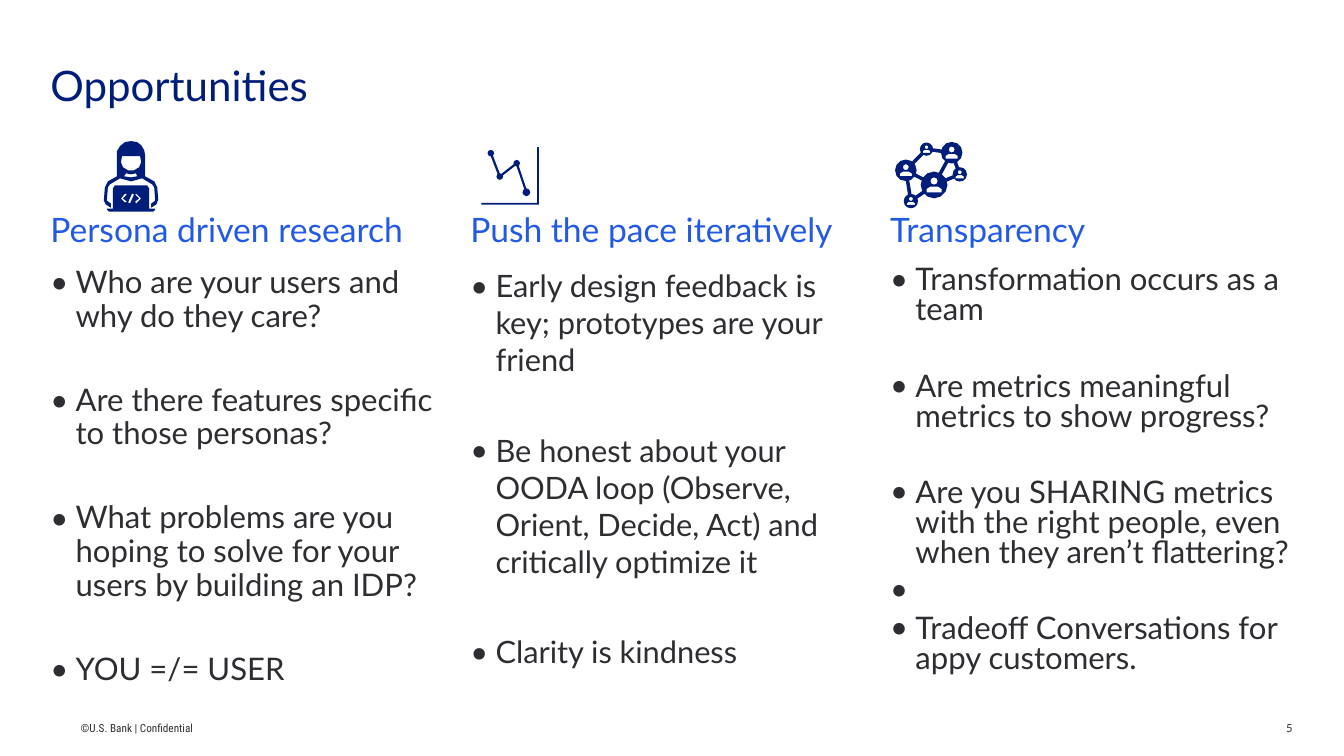
import math

import lxml.etree
import pptx
import pptx.dml.color
import pptx.enum.text
import pptx.oxml.ns
import pptx.util

WIDTH, HEIGHT = 13.33, 7.5
MARGIN, COLUMN_WIDTH = 0.5, 4
COLUMN_PITCH = (WIDTH - 2 * MARGIN - COLUMN_WIDTH) / 2
COLUMN_TOP, COLUMN_HEIGHT = 1.4, 5.6
COLORS = {"navy": "001E79", "blue": "235AE4", "text": "2E2E32"}
ANCHORS = pptx.enum.text.MSO_ANCHOR
ALIGNMENTS = pptx.enum.text.PP_ALIGN

FIGURE = [
    [(13, 35), (4, 40), (1, 46), (0, 59), (2, 63), (7, 66), (7, 62), (3, 59), (4, 46),
     (6, 43), (16, 37), (27, 40), (38, 37), (48, 43), (50, 46), (51, 59), (47, 62),
     (47, 66), (52, 63), (54, 58), (53, 46), (50, 40), (41, 35), (41, 14), (40, 9),
     (37, 4), (33, 1), (27, 0), (21, 1), (16, 5), (13, 10)],
    [(17, 21), (18, 15), (36, 15), (37, 21), (35, 26), (30, 29), (24, 29), (19, 26)],
    [(20, 35), (22, 32), (27, 33), (32, 32), (33, 35), (27, 36)],
]
LAPTOP = [
    [(45, 47), (43, 44), (11, 44), (9, 47), (9, 67), (3, 67), (3, 68), (5, 70),
     (49, 70), (51, 68), (51, 67), (45, 67)],
    [(23, 60), (21, 61), (17, 57), (21, 52), (23, 53), (19, 57)],
    [(26, 62), (24, 61), (28, 52), (30, 53)],
    [(32, 62), (31, 60), (35, 57), (31, 53), (32, 52), (37, 57)],
]
AXES = [[(55.3, 0), (55.3, 55.3), (0, 55.3), (0, 57), (57, 57), (57, 0)]]
CHART_POINTS = [(9.3, 6, 3.2), (18.2, 29.2, 3.2), (35, 16, 3.2), (44.6, 44.8, 3.8)]
CHART_LINKS = [(0, 1), (1, 2), (2, 3)]
PEOPLE = [(10.5, 28, 10.5), (31, 7, 6.5), (56, 10.5, 10.5), (64, 32, 7),
          (38.5, 42.5, 13), (15.5, 58.5, 7)]
PEOPLE_LINKS = [(0, 1), (1, 2), (2, 3), (2, 4), (0, 4), (0, 5), (5, 4), (4, 3)]
SHOULDERS = [(-0.57, 0.56), (-0.57, 0.3), (-0.3, 0.12), (0.3, 0.12), (0.57, 0.3), (0.57, 0.56)]


def color(name):
    return pptx.dml.color.RGBColor.from_string(COLORS[name])


def inches(*values):
    return [pptx.util.Inches(value) for value in values]


def add_bullet(paragraph, font):
    properties = paragraph._p.get_or_add_pPr()
    properties.set("marL", str(pptx.util.Inches(0.25)))
    properties.set("indent", str(pptx.util.Inches(-0.25)))
    for tag, name, value in (("a:buFont", "typeface", font), ("a:buChar", "char", "•")):
        lxml.etree.SubElement(properties, pptx.oxml.ns.qn(tag)).set(name, value)


def add_text(slide, box, items, size, fill, font="Lato", anchor=ANCHORS.TOP,
             align=ALIGNMENTS.LEFT, line_spacing=1.0, bullets=False):
    frame = slide.shapes.add_textbox(*inches(*box)).text_frame
    frame.word_wrap = True
    frame.vertical_anchor = anchor
    frame.margin_left = frame.margin_right = 0
    frame.margin_top = frame.margin_bottom = pptx.util.Inches(0.05)
    for index, (text, gap) in enumerate(items):
        paragraph = frame.add_paragraph() if index else frame.paragraphs[0]
        paragraph.alignment = align
        paragraph.line_spacing = line_spacing
        paragraph.space_after = pptx.util.Pt(gap)
        if bullets:
            add_bullet(paragraph, font)
        run = paragraph.add_run()
        run.text = text
        run.font.name = font
        run.font.size = pptx.util.Pt(size)
        run.font.color.rgb = color(fill)


def add_outline(slide, left, top, contours):
    scaled = [[(10 * x, 10 * y) for x, y in contour] for contour in contours]
    builder = slide.shapes.build_freeform(*scaled[0][0], scale=pptx.util.Inches(0.001))
    for index, (start, *rest) in enumerate(scaled):
        if index:
            builder.move_to(*start)
        builder.add_line_segments(rest)
    shape = builder.convert_to_shape(*inches(left, top))
    shape.shadow.inherit = False
    shape.fill.solid()
    shape.fill.fore_color.rgb = color("navy")
    shape.line.fill.background()
    return shape


def circle(x, y, radius, count):
    angles = [2 * math.pi * step / count for step in range(count)]
    return [(x + radius * math.cos(angle), y + radius * math.sin(angle)) for angle in angles]


def link(start, end, width):
    (x1, y1, radius1), (x2, y2, radius2) = start, end
    length = math.hypot(x2 - x1, y2 - y1)
    along_x, along_y = (x2 - x1) / length, (y2 - y1) / length
    corners = [(radius1, -1), (length - radius2, -1), (length - radius2, 1), (radius1, 1)]
    return [(x1 + distance * along_x - side * width / 2 * along_y,
             y1 + distance * along_y + side * width / 2 * along_x)
            for distance, side in corners]


def network(nodes, links, width, count):
    discs = [circle(x, y, 1.02 * radius, count) for x, y, radius in nodes]
    return discs + [link(nodes[start], nodes[end], width) for start, end in links]


def person(x, y, radius):
    shoulders = [(x + radius * across, y + radius * down) for across, down in SHOULDERS]
    return [circle(x, y - 0.3 * radius, 0.28 * radius, 8), shoulders]


def add_developer_icon(slide, left, top):
    slide.shapes.add_group_shape(
        [add_outline(slide, left + 0.53, top, contours) for contours in (FIGURE, LAPTOP)])


def add_chart_icon(slide, left, top):
    line = network(CHART_POINTS, CHART_LINKS, 2.2, 8)
    slide.shapes.add_group_shape(
        [add_outline(slide, left + 0.11, top + 0.06, contours) for contours in (AXES, line)])


def add_people_icon(slide, left, top):
    contours = network(PEOPLE, PEOPLE_LINKS, 3.5, 12)
    for node in PEOPLE:
        contours += person(*node)
    add_outline(slide, left + 0.05, top + 0.01, contours)


def add_column(slide, box, icon, heading, items, size, line_spacing):
    left, top, width, height = box
    icon(slide, left, top)
    add_text(slide, (left, top + 0.62, width, 0.5), [(heading, 6)], 24, "blue",
             anchor=ANCHORS.MIDDLE)
    add_text(slide, (left, top + 1.2, width, height - 1.2), items, size, "text",
             line_spacing=line_spacing, bullets=True)


def add_footer(slide, box):
    left, top, width, height = box
    add_text(slide, (left, top, 2.88, height), [("©U.S. Bank | Confidential", 0)], 8, "text",
             font="Roboto Condensed")
    add_text(slide, (left + width - 1.17, top, 1.17, height), [("5", 0)], 8, "text",
             align=ALIGNMENTS.RIGHT)


COLUMNS = [
    (add_developer_icon, "Persona driven research", [
        ("Who are your users and why do they care?", 36),
        ("Are there features specific to those personas?", 36),
        ("What problems are you hoping to solve for your users by building an IDP?", 36),
        ("YOU =/= USER", 6)], 22.2, 0.9),
    (add_chart_icon, "Push the pace iteratively", [
        ("Early design feedback is key; prototypes are your friend", 38.4),
        ("Be honest about your OODA loop (Observe, Orient, Decide, Act) "
         "and critically optimize it", 38.4),
        ("Clarity is kindness", 6)], 22, 1.0),
    (add_people_icon, "Transparency", [
        ("Transformation occurs as a team", 33.3),
        ("Are metrics meaningful metrics to show progress?", 33.3),
        ("Are you SHARING metrics with the right people, even when they aren’t flattering?", 6),
        (" ", 6),
        ("Tradeoff Conversations for appy customers.", 6)], 22.2, 0.8),
]


def main():
    presentation = pptx.Presentation()
    presentation.slide_width, presentation.slide_height = inches(WIDTH, HEIGHT)
    slide = presentation.slides.add_slide(presentation.slide_layouts[6])
    add_text(slide, (MARGIN, 0.35, 12.3, 1.04), [("Opportunities", 0)], 30, "navy",
             anchor=ANCHORS.MIDDLE, line_spacing=0.9)
    for index, column in enumerate(COLUMNS):
        left = MARGIN + index * COLUMN_PITCH
        add_column(slide, (left, COLUMN_TOP, COLUMN_WIDTH, COLUMN_HEIGHT), *column)
    add_footer(slide, (0.8, 7.11, 12.02, 0.24))
    presentation.save("out.pptx")


if __name__ == "__main__":
    main()
